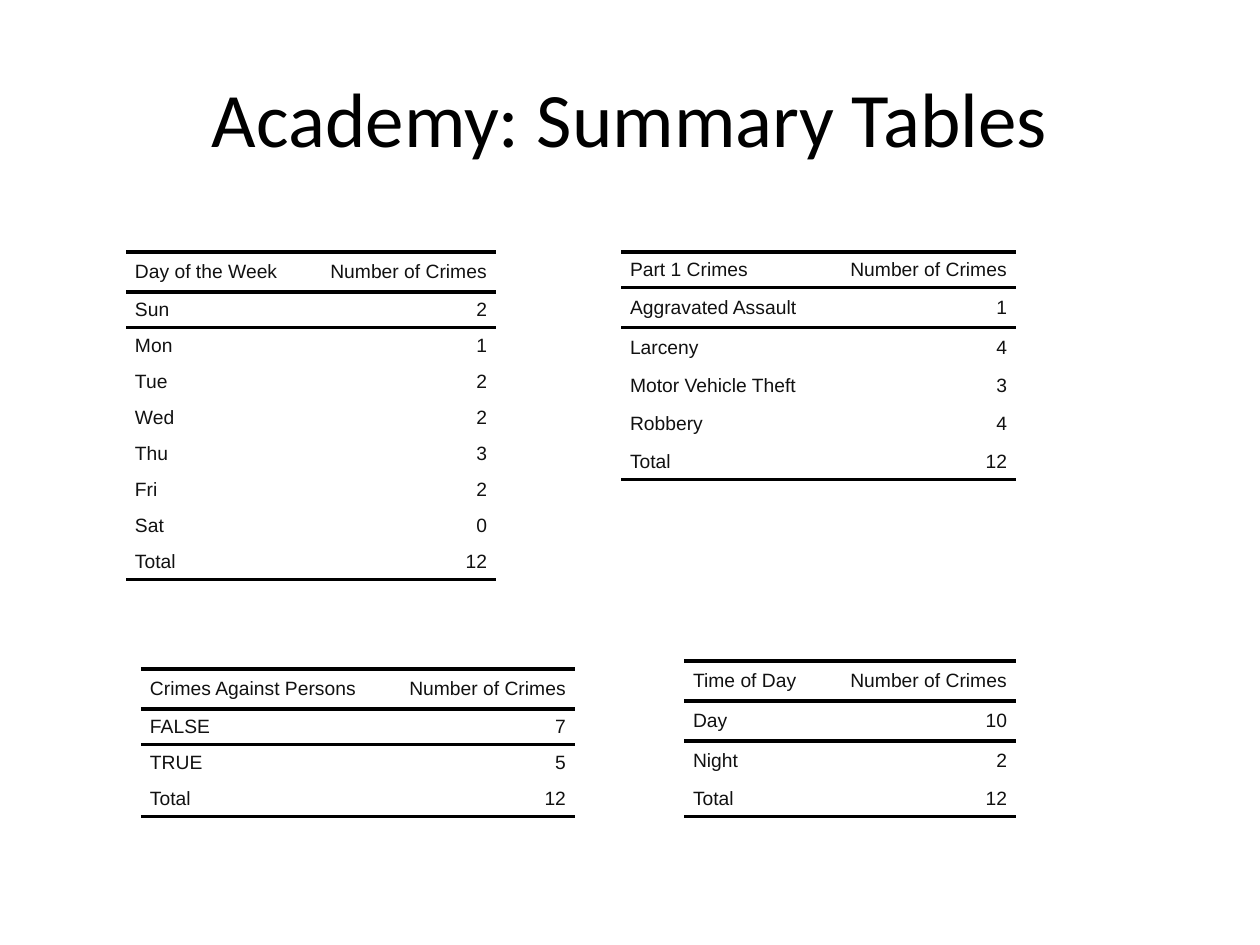
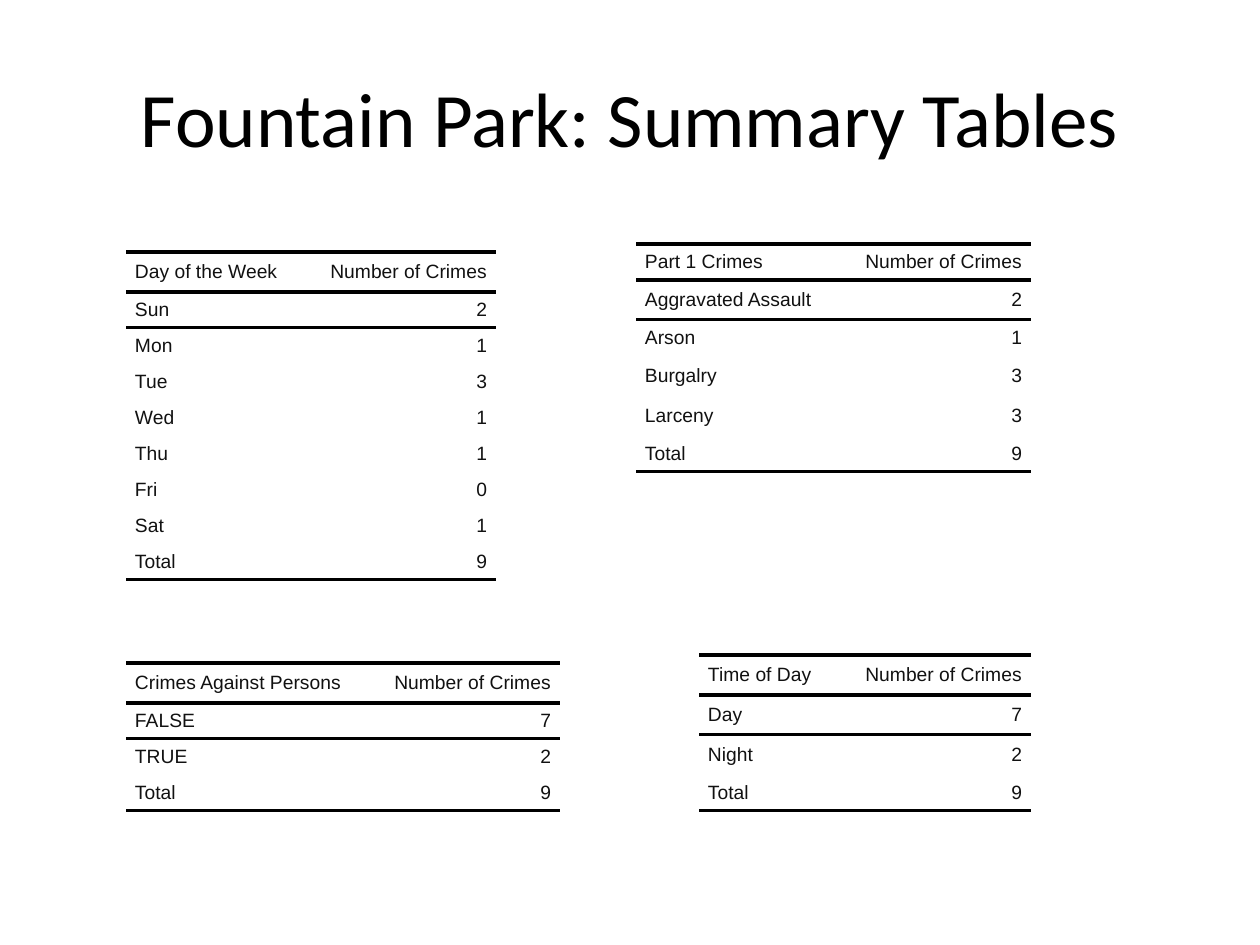
from dataclasses import dataclass

from lxml.etree import SubElement
from pptx import Presentation
from pptx.dml.color import RGBColor
from pptx.enum.text import MSO_ANCHOR as Anchor, PP_ALIGN as Align
from pptx.oxml.ns import qn
from pptx.util import Inches, Pt

COUNT = "Number of Crimes"
LABEL_W = {"Part 1 Crimes": 203, "Day of the Week": 178,
           "Crimes Against Persons": 242, "Time of Day": 140}
DAYS = ["Sun", "Mon", "Tue", "Wed", "Thu", "Fri", "Sat"]

SLIDES = [
    {
        "title": "Academy: Summary Tables",
        "tables": [
            {"head": "Part 1 Crimes", "right": 1016, "top": 252, "tall": (1, 2, 4),
             "rows": [("Aggravated Assault", 1), ("Larceny", 4),
                      ("Motor Vehicle Theft", 3), ("Robbery", 4)]},
            {"head": "Day of the Week", "left": 126, "top": 252, "tall": (0,),
             "rows": list(zip(DAYS, [2, 1, 2, 2, 3, 2, 0]))},
            {"head": "Crimes Against Persons", "left": 141, "bottom": 817, "tall": (0,),
             "rows": [("FALSE", 7), ("TRUE", 5)]},
            {"head": "Time of Day", "right": 1016, "bottom": 817, "tall": (0, 1, 2),
             "rows": [("Day", 10), ("Night", 2)]},
        ],
    },
    {
        "title": "Fountain Park: Summary Tables",
        "tables": [
            {"head": "Part 1 Crimes", "right": 1031, "top": 244, "tall": (1, 3, 4),
             "rows": [("Aggravated Assault", 2), ("Arson", 1),
                      ("Burgalry", 3), ("Larceny", 3)]},
            {"head": "Day of the Week", "left": 126, "top": 252, "tall": (0,),
             "rows": list(zip(DAYS, [2, 1, 3, 1, 1, 0, 1]))},
            {"head": "Crimes Against Persons", "left": 126, "bottom": 811, "tall": (0,),
             "rows": [("FALSE", 7), ("TRUE", 2)]},
            {"head": "Time of Day", "right": 1031, "bottom": 811, "tall": (0, 1, 2),
             "rows": [("Day", 7), ("Night", 2)]},
        ],
    },
]


@dataclass(frozen=True)
class Theme:
    title_font: str = "Calibri"
    title_size: int = 44
    title_color: str = "000000"
    cell_font: str = "Arial"
    cell_size: int = 11
    cell_color: str = "111111"
    rule_color: str = "000000"
    rule_width: int = 2
    plain_style: str = "{2D5ABB26-0587-4C30-8999-92F81FD0307C}"


T = Theme()
SLIDE_W, SLIDE_H = 1260, 945
TITLE_BOX = (63, 38, 1134, 157)
COUNT_W, CELL_PAD = 192, 9
ROW_H, TALL_H = 36, 40


def px(n):
    return Inches(n / 126)


def write(tf, text, align, font, size, color):
    p = tf.paragraphs[0]
    p.alignment = align
    r = p.add_run()
    r.text = text
    r.font.name = font
    r.font.size = Pt(size)
    r.font.color.rgb = RGBColor.from_string(color)


def add_title(s, text):
    tf = s.shapes.add_textbox(*map(px, TITLE_BOX)).text_frame
    tf.word_wrap = True
    tf.vertical_anchor = Anchor.MIDDLE
    write(tf, text, Align.CENTER, T.title_font, T.title_size, T.title_color)


def add_rule(cell, side):
    ln = SubElement(cell._tc.get_or_add_tcPr(), qn(f"a:{side}"), w=str(Pt(T.rule_width)))
    fill = SubElement(ln, qn("a:solidFill"))
    SubElement(fill, qn("a:srgbClr"), val=T.rule_color)


def fill_cell(cell, text, align, sides):
    cell.margin_left = cell.margin_right = px(CELL_PAD)
    cell.margin_top = cell.margin_bottom = 0
    cell.vertical_anchor = Anchor.MIDDLE
    for side in sides:
        add_rule(cell, side)
    cell.fill.background()
    write(cell.text_frame, text, align, T.cell_font, T.cell_size, T.cell_color)


def add_summary(s, item):
    total = sum(n for _, n in item["rows"])
    rows = [(item["head"], COUNT), *item["rows"], ("Total", total)]
    widths = [LABEL_W[item["head"]], COUNT_W]
    heights = [TALL_H if i in item["tall"] else ROW_H for i in range(len(rows))]
    w, h = sum(widths), sum(heights)
    left = item["left"] if "left" in item else item["right"] - w
    top = item["top"] if "top" in item else item["bottom"] - h

    table = s.shapes.add_table(len(rows), 2, *map(px, (left, top, w, h))).table
    table.first_row = table.horz_banding = False
    table._tbl.tblPr.find(qn("a:tableStyleId")).text = T.plain_style
    for col, width in zip(table.columns, widths):
        col.width = px(width)
    rules = {0: ("lnT", "lnB"), 1: ("lnT",), len(rows) - 1: ("lnB",)}
    for i, (row, height) in enumerate(zip(rows, heights)):
        table.rows[i].height = px(height)
        for j, align in enumerate((Align.LEFT, Align.RIGHT)):
            fill_cell(table.cell(i, j), str(row[j]), align, rules.get(i, ()))


def main():
    prs = Presentation()
    prs.slide_width, prs.slide_height = px(SLIDE_W), px(SLIDE_H)
    for content in SLIDES:
        s = prs.slides.add_slide(prs.slide_layouts[6])
        add_title(s, content["title"])
        for item in content["tables"]:
            add_summary(s, item)
    prs.save("out.pptx")


if __name__ == "__main__":
    main()
